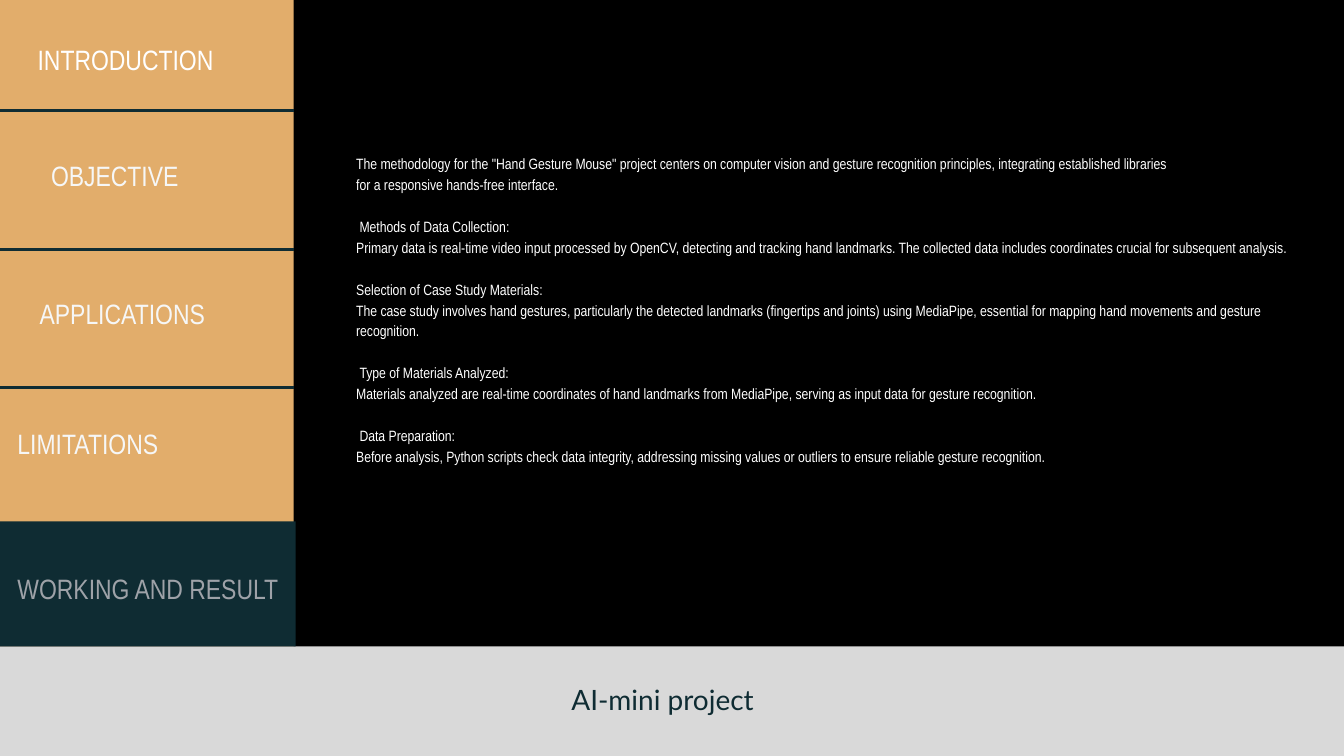
from lxml import etree
from pptx import Presentation
from pptx.dml.color import RGBColor
from pptx.enum.shapes import MSO_CONNECTOR, MSO_SHAPE
from pptx.enum.text import MSO_ANCHOR, MSO_AUTO_SIZE, PP_ALIGN
from pptx.oxml.ns import qn
from pptx.util import Inches, Pt

RECT = MSO_SHAPE.RECTANGLE
LINE = MSO_CONNECTOR.STRAIGHT
TOP = MSO_ANCHOR.TOP
FIXED = MSO_AUTO_SIZE.NONE
LEFT, CENTER = PP_ALIGN.LEFT, PP_ALIGN.CENTER

WIDE, HIGH = 20, 11.25
SIDE, FOOT = 4.37, 9.62
NARROW, LATO = "Arial Narrow", "Lato"
BLACK, WHITE, PALE = "000000", "FFFFFF", "F6F7F7"
SAND, TEAL, GREY, MUTED = "E2AD6B", "0F2C33", "D9D9D9", "9EA2A8"

# Sidebar labels: text, left, top, width, colour
LABELS = [
    ("INTRODUCTION", 0.56, 0.55, 5.63, WHITE),
    ("OBJECTIVE", 0.76, 2.28, 5.63, PALE),
    ("APPLICATIONS", 0.59, 4.33, 3.81, PALE),
    ("LIMITATIONS", 0.26, 6.26, 5.63, PALE),
    ("WORKING AND RESULT", 0.26, 8.42, 5.63, MUTED),
]

INTRO = [
    'The methodology for the "Hand Gesture Mouse" project centers on computer vision and gesture recognition principles, integrating established libraries',
    "for a responsive hands-free interface.",
]

# Sections: heading, heading indent, text
PARTS = [
    ("Methods of Data Collection:", 0.05,
     "Primary data is real-time video input processed by OpenCV, detecting and tracking hand landmarks. The collected data includes coordinates crucial for subsequent analysis."),
    ("Selection of Case Study Materials:", 0,
     "The case study involves hand gestures, particularly the detected landmarks (fingertips and joints) using MediaPipe, essential for mapping hand movements and gesture recognition."),
    ("Type of Materials Analyzed:", 0.05,
     "Materials analyzed are real-time coordinates of hand landmarks from MediaPipe, serving as input data for gesture recognition."),
    ("Data Preparation:", 0.05,
     "Before analysis, Python scripts check data integrity, addressing missing values or outliers to ensure reliable gesture recognition."),
]


def color(code):
    return RGBColor.from_string(code)


class Deck:
    def __init__(self):
        self.prs = Presentation()
        self.prs.slide_width = Inches(WIDE)
        self.prs.slide_height = Inches(HIGH)
        self.slide = self.prs.slides.add_slide(self.prs.slide_layouts[1])
        self.shapes = self.slide.shapes
        fill = self.slide.background.fill
        fill.solid()
        fill.fore_color.rgb = color(BLACK)

    def block(self, x, y, w, h, fill):
        box = self.shapes.add_shape(RECT, Inches(x), Inches(y), Inches(w), Inches(h))
        box.shadow.inherit = False
        box.fill.solid()
        box.fill.fore_color.rgb = color(fill)
        box.line.fill.background()

    def rule(self, y):
        line = self.shapes.add_connector(LINE, 0, Inches(y), Inches(SIDE), Inches(y))
        line.line.color.rgb = color(TEAL)
        line.line.width = Pt(3)
        etree.SubElement(line._element.spPr, qn("a:effectLst"))

    def frame(self, box, x, y, w, h):
        box.left, box.top = Inches(x), Inches(y)
        box.width, box.height = Inches(w), Inches(h)
        text = box.text_frame
        text.word_wrap = True
        text.auto_size = FIXED
        text.vertical_anchor = TOP
        text.margin_left = text.margin_right = 0
        text.margin_top = text.margin_bottom = 0
        return text

    def line(self, para, words, size, font, fill, align=LEFT, gap=0, indent=0):
        props = para._p.get_or_add_pPr()
        props.set("marL", str(Inches(indent)))
        props.set("indent", "0")
        etree.SubElement(props, qn("a:buNone"))
        para.alignment = align
        para.line_spacing = Pt(size * 1.4)
        para.space_before = Pt(gap)
        run = para.add_run()
        run.text = words
        run.font.size = Pt(size)
        run.font.name = font
        run.font.color.rgb = color(fill)

    def label(self, words, x, y, w, fill):
        box = self.shapes.add_textbox(0, 0, 0, 0)
        text = self.frame(box, x, y, w, 0.57)
        self.line(text.paragraphs[0], words, 30, NARROW, fill)

    def title(self, words):
        box = self.shapes.title
        self.shapes._spTree.append(box._element)  # in front of the footer band
        text = self.frame(box, 0.42, 10.08, 18.88, 0.57)
        self.line(text.paragraphs[0], words, 30, LATO, TEAL, CENTER)

    def body(self, rows):
        text = self.frame(self.slide.placeholders[1], 5.3, 2.26, 14.41, 4.61)
        for i, (words, gap, indent) in enumerate(rows):
            para = text.add_paragraph() if i else text.paragraphs[0]
            self.line(para, words, 16, NARROW, WHITE, gap=gap, indent=indent)


def main():
    deck = Deck()

    # Sidebar and footer
    deck.block(0, 0, SIDE, FOOT, SAND)
    deck.block(0, FOOT, WIDE, HIGH - FOOT, GREY)
    for i in range(3):
        deck.rule(1.65 + 2.06 * i)
    deck.block(0, 7.76, 4.4, FOOT - 7.76, TEAL)
    for item in LABELS:
        deck.label(*item)

    # Main text
    rows = [(words, 0, 0) for words in INTRO]
    for head, indent, words in PARTS:
        rows += [(head, 22.4, indent), (words, 0, 0)]
    deck.body(rows)

    deck.title("AI-mini project")
    deck.prs.save("out.pptx")


if __name__ == "__main__":
    main()
